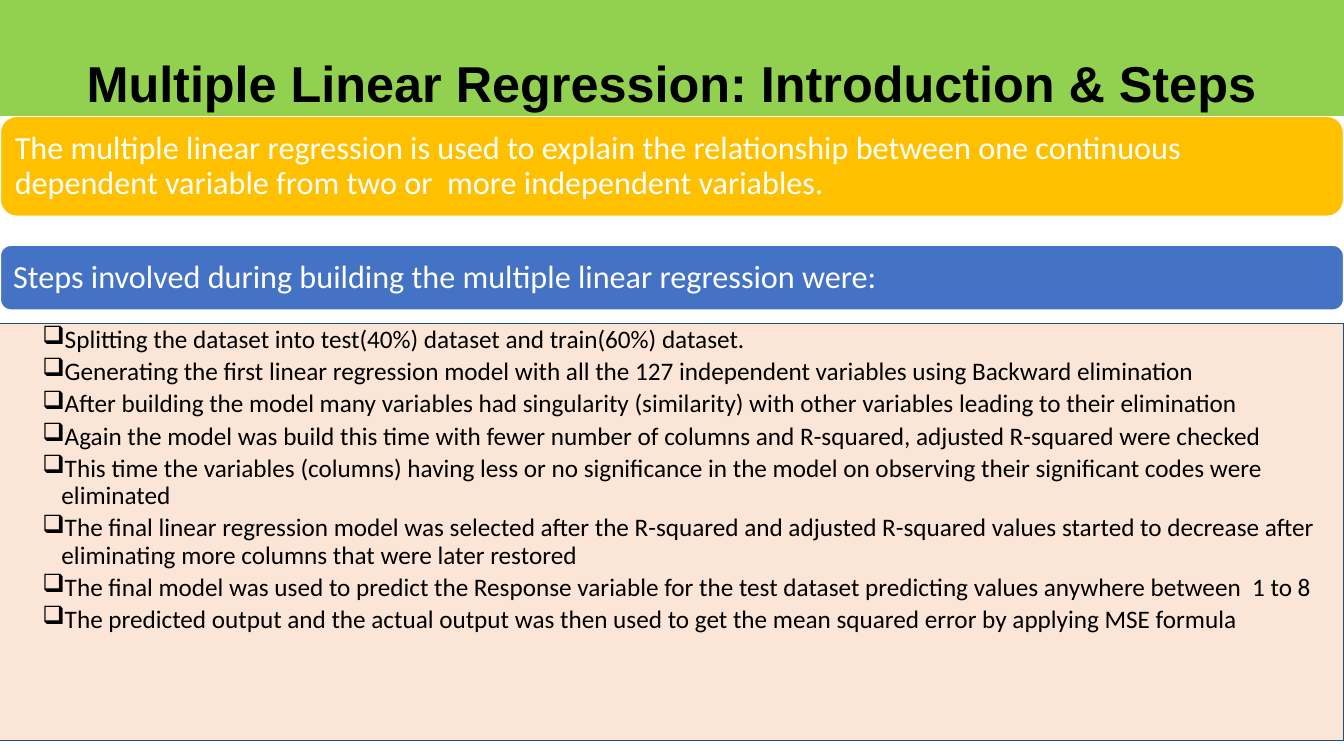
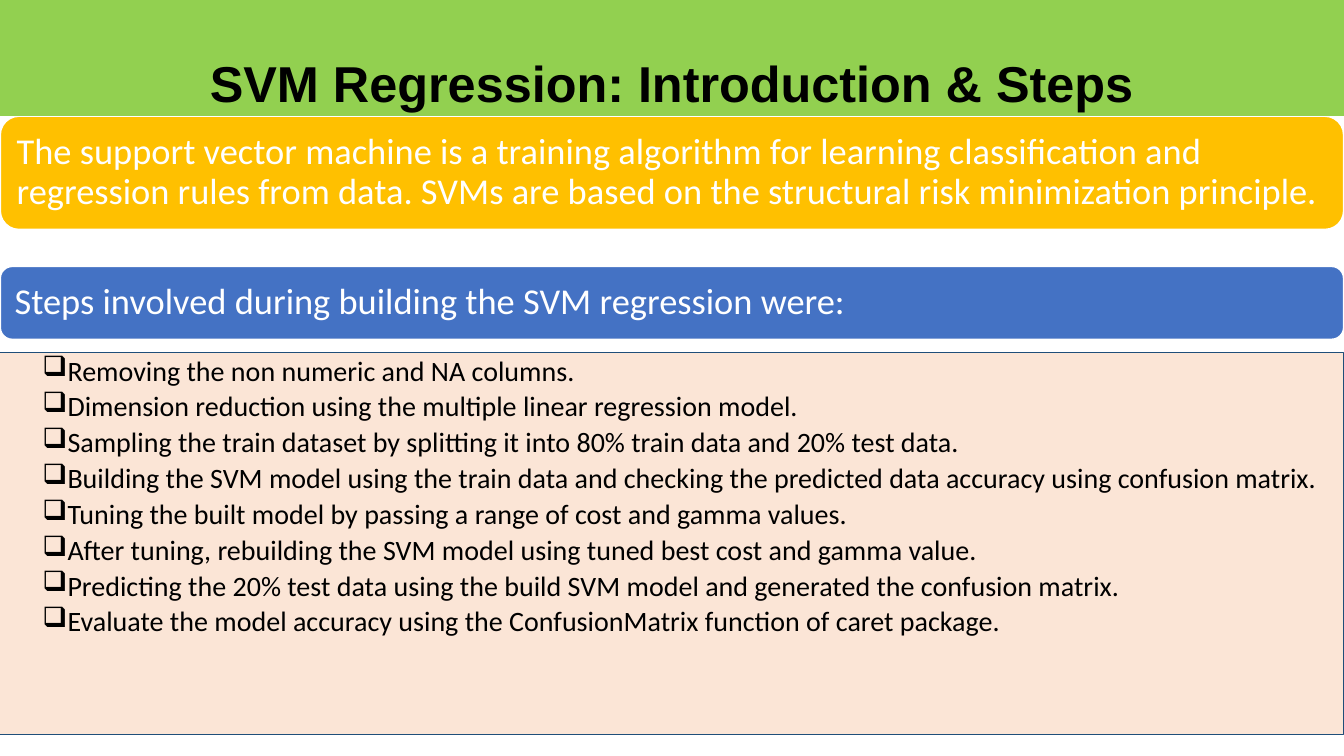
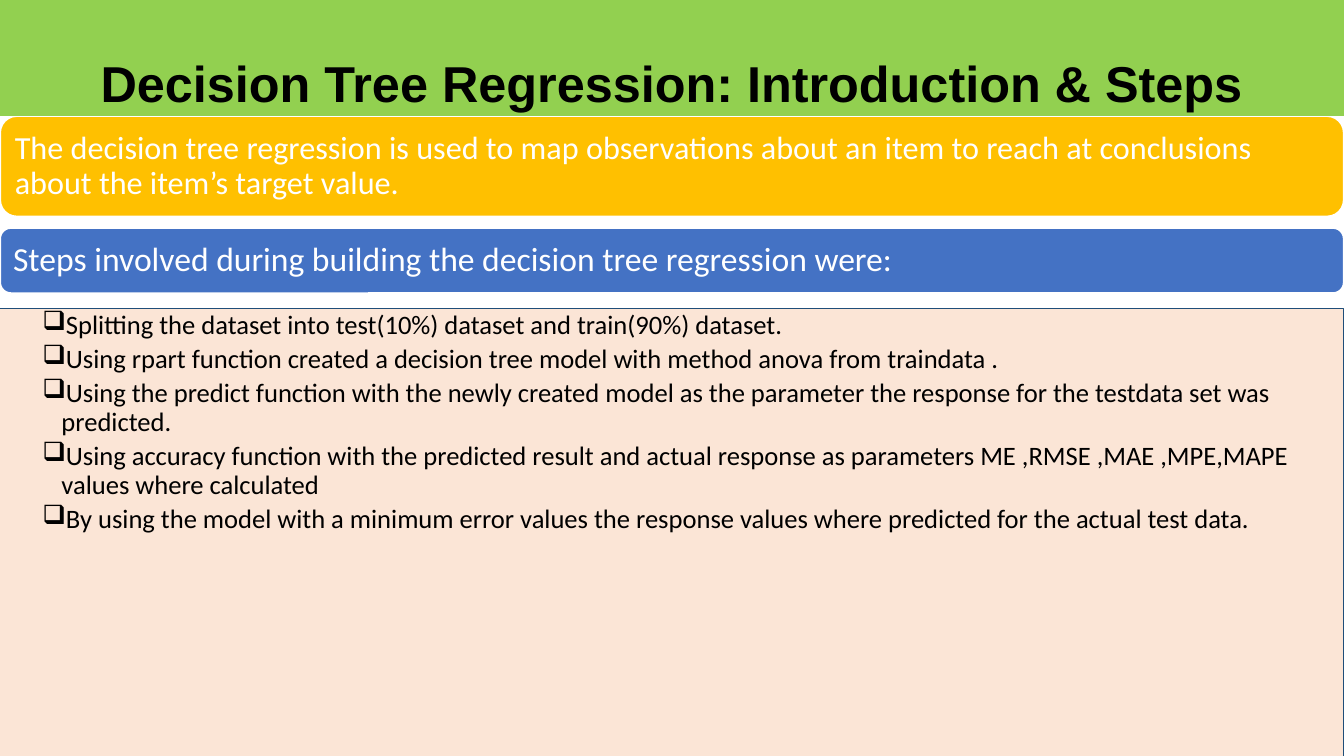
"""Build three slides on regression methods and their steps."""
import pptx
import pptx.dml.color
import pptx.enum.shapes
import pptx.enum.text
import pptx.oxml.ns
import pptx.util
import lxml.etree

Inches = pptx.util.Inches
Pt = pptx.util.Pt
RGBColor = pptx.dml.color.RGBColor
Shape = pptx.enum.shapes.MSO_SHAPE
Anchor = pptx.enum.text.MSO_ANCHOR
Align = pptx.enum.text.PP_ALIGN

GREEN = RGBColor(0x92, 0xD0, 0x50)
GOLD = RGBColor(0xFF, 0xC0, 0x00)
BLUE = RGBColor(0x44, 0x72, 0xC4)
PEACH = RGBColor(0xFB, 0xE5, 0xD6)
NAVY = RGBColor(0x1F, 0x4E, 0x79)
WHITE = RGBColor(0xFF, 0xFF, 0xFF)
BLACK = RGBColor(0x00, 0x00, 0x00)

WIDTH = 13.33
HEIGHT = 7.5
BAND = 1.15

TOPICS = [
    {
        "title": "Multiple Linear Regression: Introduction & Steps",
        "intro": "The multiple linear regression is used to explain the relationship between one "
                 "continuous dependent variable from two or  more independent variables.",
        "lead": "Steps involved during building the multiple linear regression were:",
        "intro_box": (1, 23, 0.1),
        "lead_box": (2.43, 0.65, 23, 0.1),
        "list_box": (3.21, 4.14, 18, 0.19, 0.03),
        "steps": [
            "Splitting the dataset into test(40%) dataset and train(60%) dataset.",
            "Generating the first linear regression model with all the 127 independent variables "
            "using Backward elimination",
            "After building the model many variables had singularity (similarity) with other "
            "variables leading to their elimination",
            "Again the model was build this time with fewer number of columns and R-squared, "
            "adjusted R-squared were checked",
            "This time the variables (columns) having less or no significance in the model on "
            "observing their significant codes were eliminated",
            "The final linear regression model was selected after the R-squared and adjusted "
            "R-squared values started to decrease after eliminating more columns that were later restored",
            "The final model was used to predict the Response variable for the test dataset "
            "predicting values anywhere between  1 to 8",
            "The predicted output and the actual output was then used to get the mean squared "
            "error by applying MSE formula",
        ],
    },
    {
        "title": "SVM Regression: Introduction & Steps",
        "intro": "The support vector machine is a training algorithm for learning classification and "
                 "regression rules from data. SVMs are based on the structural risk minimization principle.",
        "lead": "Steps involved during building the SVM regression were:",
        "intro_box": (1.13, 26, 0.11),
        "lead_box": (2.64, 0.73, 26, 0.11),
        "list_box": (3.5, 3.79, 20, 0.25, 0.04),
        "steps": [
            "Removing the non numeric and NA columns.",
            "Dimension reduction using the multiple linear regression model.",
            "Sampling the train dataset by splitting it into 80% train data and 20% test data.",
            "Building the SVM model using the train data and checking the predicted data accuracy "
            "using confusion matrix.",
            "Tuning the built model by passing a range of cost and gamma values.",
            "After tuning, rebuilding the SVM model using tuned best cost and gamma value.",
            "Predicting the 20% test data using the build SVM model and generated the confusion matrix.",
            "Evaluate the model accuracy using the ConfusionMatrix function of caret package.",
        ],
    },
    {
        "title": "Decision Tree Regression: Introduction & Steps",
        "intro": "The decision tree regression is used to map observations about an item to reach at "
                 "conclusions about the item’s target value.",
        "lead": "Steps involved during building the decision tree regression were:",
        "intro_box": (1, 23, 0.1),
        "lead_box": (2.26, 0.65, 24, 0.1),
        "list_box": (3.06, 4.49, 19, 0.19, 0.03),
        "steps": [
            "Splitting the dataset into test(10%) dataset and train(90%) dataset.",
            "Using rpart function created a decision tree model with method anova from traindata .",
            "Using the predict function with the newly created model as the parameter the response "
            "for the testdata set was predicted.",
            "Using accuracy function with the predicted result and actual response as parameters "
            "ME ,RMSE ,MAE ,MPE,MAPE values where calculated",
            "By using the model with a minimum error values the response values where predicted "
            "for the actual test data.",
        ],
    },
]


def add_box(slide, kind, top, height, fill, line=None, weight=0):
    """Add a filled box across the slide."""
    box = slide.shapes.add_shape(kind, 0, Inches(top), Inches(WIDTH), Inches(height))
    box.shadow.inherit = False
    box.fill.solid()
    box.fill.fore_color.rgb = fill
    if line is None:
        box.line.fill.background()
    else:
        box.line.color.rgb = line
        box.line.width = Pt(weight)
    return box


def set_text(box, text, font, size, color, anchor, pads, align=Align.LEFT, bold=False):
    """Write text in a box, with pads for left, top, right and bottom."""
    frame = box.text_frame
    frame.word_wrap = True
    frame.vertical_anchor = anchor
    frame.margin_left, frame.margin_top, frame.margin_right, frame.margin_bottom = map(Inches, pads)
    frame.text = text
    for para in frame.paragraphs:
        para.alignment = align
        para.line_spacing = 0.9
        for run in para.runs:
            run.font.name = font
            run.font.size = Pt(size)
            run.font.bold = bold
            run.font.color.rgb = color


def add_title(slide, text):
    """Add the green title band."""
    box = add_box(slide, Shape.RECTANGLE, 0, BAND, GREEN)
    set_text(box, text, "Arial", 36, BLACK, Anchor.BOTTOM, (0, 0, 0, 0.02), Align.CENTER, True)


def add_banner(slide, text, fill, top, height, size, pad):
    """Add a rounded banner with white text."""
    box = add_box(slide, Shape.ROUNDED_RECTANGLE, top, height, fill, WHITE, 1.5)
    set_text(box, text, "Calibri", size, WHITE, Anchor.MIDDLE, (pad,) * 4)


def add_bullet(para, indent):
    """Give a paragraph a hanging box bullet."""
    props = para._p.get_or_add_pPr()
    props.set("marL", str(Inches(indent)))
    props.set("indent", str(-Inches(indent)))
    mark = lxml.etree.SubElement(props, pptx.oxml.ns.qn("a:buChar"))
    mark.set("char", "❑")


def add_steps(slide, steps, top, height, size, indent, pad):
    """Add the panel with the bulleted steps."""
    box = add_box(slide, Shape.RECTANGLE, top, height, PEACH, NAVY, 0.75)
    set_text(box, "\n".join(steps), "Calibri", size, BLACK, Anchor.TOP, (0.42, pad, 0.19, pad))
    for para in box.text_frame.paragraphs:
        para.space_after = Pt(0.2 * size)
        add_bullet(para, indent)


def main():
    """Build and save the deck."""
    deck = pptx.Presentation()
    deck.slide_width = Inches(WIDTH)
    deck.slide_height = Inches(HEIGHT)
    for topic in TOPICS:
        slide = deck.slides.add_slide(deck.slide_layouts[6])
        add_banner(slide, topic["intro"], GOLD, BAND, *topic["intro_box"])
        add_banner(slide, topic["lead"], BLUE, *topic["lead_box"])
        add_steps(slide, topic["steps"], *topic["list_box"])
        add_title(slide, topic["title"])
    deck.save("out.pptx")


if __name__ == "__main__":
    main()
